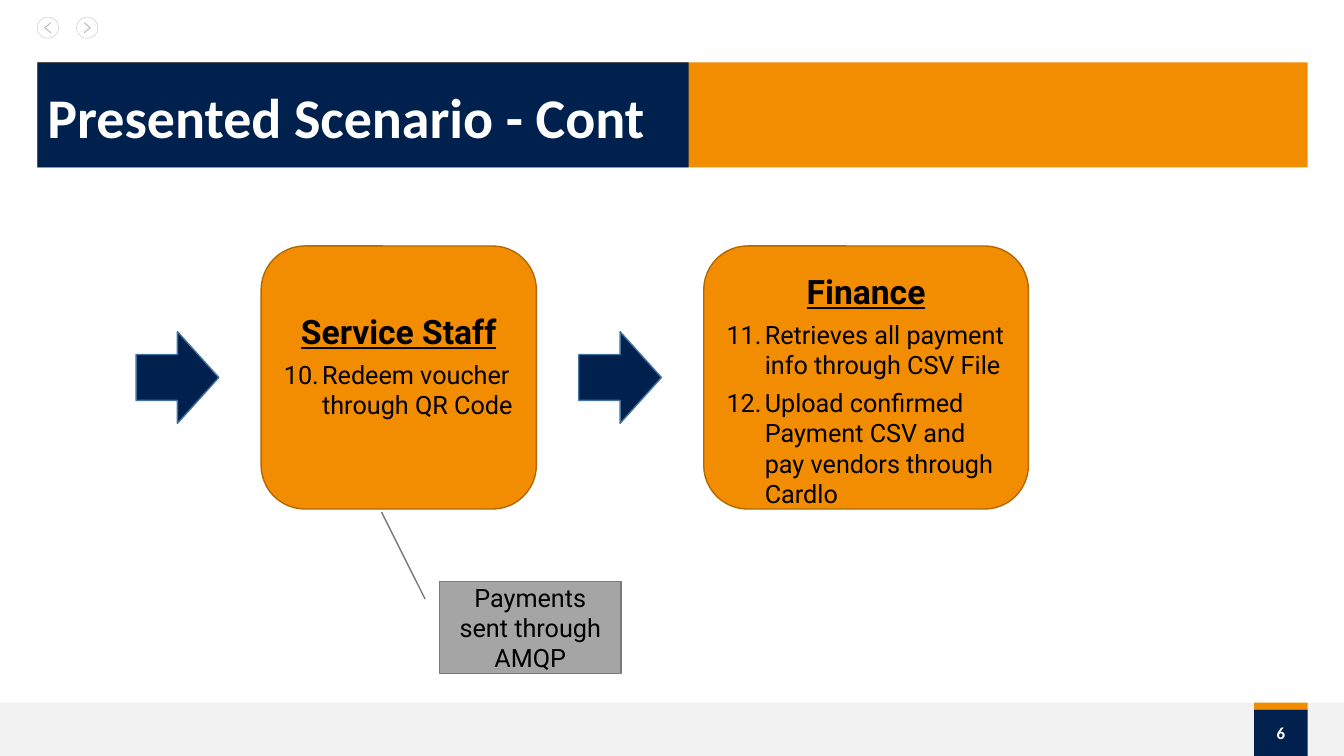
import pptx
import pptx.dml.color
import pptx.enum.shapes
import pptx.enum.text
import pptx.oxml.ns
import pptx.util
from lxml import etree

Inches, Pt = pptx.util.Inches, pptx.util.Pt
RGBColor = pptx.dml.color.RGBColor
MSO_SHAPE = pptx.enum.shapes.MSO_SHAPE
ALIGN = pptx.enum.text.PP_ALIGN
ANCHOR = pptx.enum.text.MSO_ANCHOR
qn = pptx.oxml.ns.qn

NAVY = RGBColor(0x00, 0x21, 0x4E)
ORANGE = RGBColor(0xF2, 0x8D, 0x01)
BROWN = RGBColor(0xB3, 0x68, 0x01)
BLUE = RGBColor(0x43, 0x73, 0x9E)
WHITE = RGBColor(0xFF, 0xFF, 0xFF)
BLACK = RGBColor(0x00, 0x00, 0x00)
FOOTER = RGBColor(0xF2, 0xF2, 0xF2)
RING = RGBColor(0xBF, 0xBF, 0xBF)
CHEVRON = RGBColor(0xA6, 0xA6, 0xA6)
NOTE = RGBColor(0xA5, 0xA5, 0xA5)
NOTE_EDGE = RGBColor(0x7A, 0x7A, 0x7A)


def add_box(slide, kind, box, fill, line=None, width=1):
    """Add a preset shape with a flat fill and an optional outline."""
    sp = slide.shapes.add_shape(kind, *map(Inches, box))
    sp.shadow.inherit = False
    sp.fill.solid()
    sp.fill.fore_color.rgb = fill
    if line is None:
        sp.line.fill.background()
    else:
        sp.line.color.rgb = line
        sp.line.width = Pt(width)
    return sp


def write(p, text, size=18, font="Roboto", color=BLACK, bold=False,
          underline=False, align=ALIGN.CENTER, start=None, before=0, spacing=None):
    """Write one paragraph, numbered from start when it is given."""
    if start is not None:
        pPr = p._p.get_or_add_pPr()
        pPr.set("marL", str(Inches(0.38)))
        pPr.set("indent", str(-Inches(0.38)))
        etree.SubElement(pPr, qn("a:buFont"), typeface="+mj-lt")
        etree.SubElement(pPr, qn("a:buAutoNum"), type="arabicPeriod", startAt=str(start))
    p.alignment = align
    if before:
        p.space_before = Pt(before)
    if spacing:
        p.line_spacing = spacing
    r = p.add_run()
    r.text = text
    r.font.size = Pt(size)
    r.font.name = font
    r.font.bold = bold
    r.font.underline = underline
    r.font.color.rgb = color


def add_nav_button(slide, left, top, direction):
    """Draw a round button with a chevron pointing left (-1) or right (1)."""
    size = 0.21
    add_box(slide, MSO_SHAPE.OVAL, (left, top, size, size), WHITE, RING, 0.25)
    x, y = left + size / 2, top + size / 2
    tail, tip = Inches(x - 0.03 * direction), Inches(x + 0.03 * direction)
    fb = slide.shapes.build_freeform(tail, Inches(y - 0.05))
    fb.add_line_segments([(tip, Inches(y)), (tail, Inches(y + 0.05))], close=False)
    sp = fb.convert_to_shape()
    sp.shadow.inherit = False
    sp.fill.background()
    sp.line.color.rgb = CHEVRON
    sp.line.width = Pt(0.5)


def add_header(slide, left, top, width, height):
    """Draw the two-colour title band."""
    add_box(slide, MSO_SHAPE.RECTANGLE, (left, top, width, height), ORANGE)
    add_box(slide, MSO_SHAPE.RECTANGLE, (left, top, 6.46, height), NAVY)
    tb = slide.shapes.add_textbox(*map(Inches, (left + 0.1, top + 0.27, 6.29, 0.61)))
    tf = tb.text_frame
    tf.word_wrap = True
    tf.margin_left = tf.margin_right = tf.margin_top = tf.margin_bottom = 0
    write(tf.paragraphs[0], "Presented Scenario - Cont", size=40, font="Calibri",
          color=WHITE, bold=True, align=ALIGN.LEFT, spacing=0.9)


def add_footer(slide, left, top, width, height):
    """Draw the footer strip and the page number tab."""
    add_box(slide, MSO_SHAPE.RECTANGLE, (left, top, width, height), FOOTER)
    tab = left + 12.44
    add_box(slide, MSO_SHAPE.RECTANGLE, (tab, top, 0.53, 0.07), ORANGE)
    sp = add_box(slide, MSO_SHAPE.RECTANGLE, (tab, top + 0.07, 0.53, height - 0.07), NAVY)
    sp.text_frame.vertical_anchor = ANCHOR.MIDDLE
    write(sp.text_frame.paragraphs[0], "6", size=12, font="Calibri", color=WHITE, bold=True)


def add_step(slide, left, top, width, height, heading, tasks, start, inset):
    """Draw a role card with numbered tasks and the arrow leading to it."""
    arrow_h = 0.91
    add_box(slide, MSO_SHAPE.RIGHT_ARROW,
            (left - 1.24, top + (height - arrow_h) / 2, 0.82, arrow_h), NAVY, BLUE)
    sp = add_box(slide, MSO_SHAPE.ROUNDED_RECTANGLE, (left, top, width, height), ORANGE, BROWN)
    tf = sp.text_frame
    tf.word_wrap = True
    tf.vertical_anchor = ANCHOR.TOP
    tf.margin_top, tf.margin_bottom = Inches(inset), 0
    write(tf.paragraphs[0], heading, size=24, bold=True, underline=True)
    for task in tasks:
        write(tf.add_paragraph(), task, align=ALIGN.LEFT, start=start, before=5.6)


def add_callout(slide, left, top, width, height, text):
    """Draw a note whose leader line points up and to the left."""
    sp = add_box(slide, MSO_SHAPE.LINE_CALLOUT_1, (left, top, width, height), NOTE, NOTE_EDGE)
    for i, value in enumerate((0.19, -0.08, -0.76, -0.32)):
        sp.adjustments[i] = value
    sp.text_frame.word_wrap = True
    sp.text_frame.vertical_anchor = ANCHOR.MIDDLE
    write(sp.text_frame.paragraphs[0], text)


def main():
    """Build and save the scenario slide."""
    prs = pptx.Presentation()
    prs.slide_width, prs.slide_height = Inches(13.33), Inches(7.5)
    slide = prs.slides.add_slide(prs.slide_layouts[6])
    add_footer(slide, 0, 6.97, 13.33, 0.53)
    add_nav_button(slide, 0.37, 0.17, -1)
    add_nav_button(slide, 0.76, 0.17, 1)
    add_header(slide, 0.37, 0.62, 12.6, 1.04)
    add_step(slide, 2.59, 2.44, 2.73, 2.61, "Service Staff",
             ["Redeem voucher through QR Code"], start=10, inset=0.52)
    add_step(slide, 6.98, 2.44, 3.22, 2.61, "Finance",
             ["Retrieves all payment info through CSV File",
              "Upload confirmed Payment CSV and pay vendors through Cardlo"],
             start=11, inset=0.12)
    add_callout(slide, 4.36, 5.77, 1.8, 0.91, "Payments sent through AMQP")
    prs.save("out.pptx")


if __name__ == "__main__":
    main()
